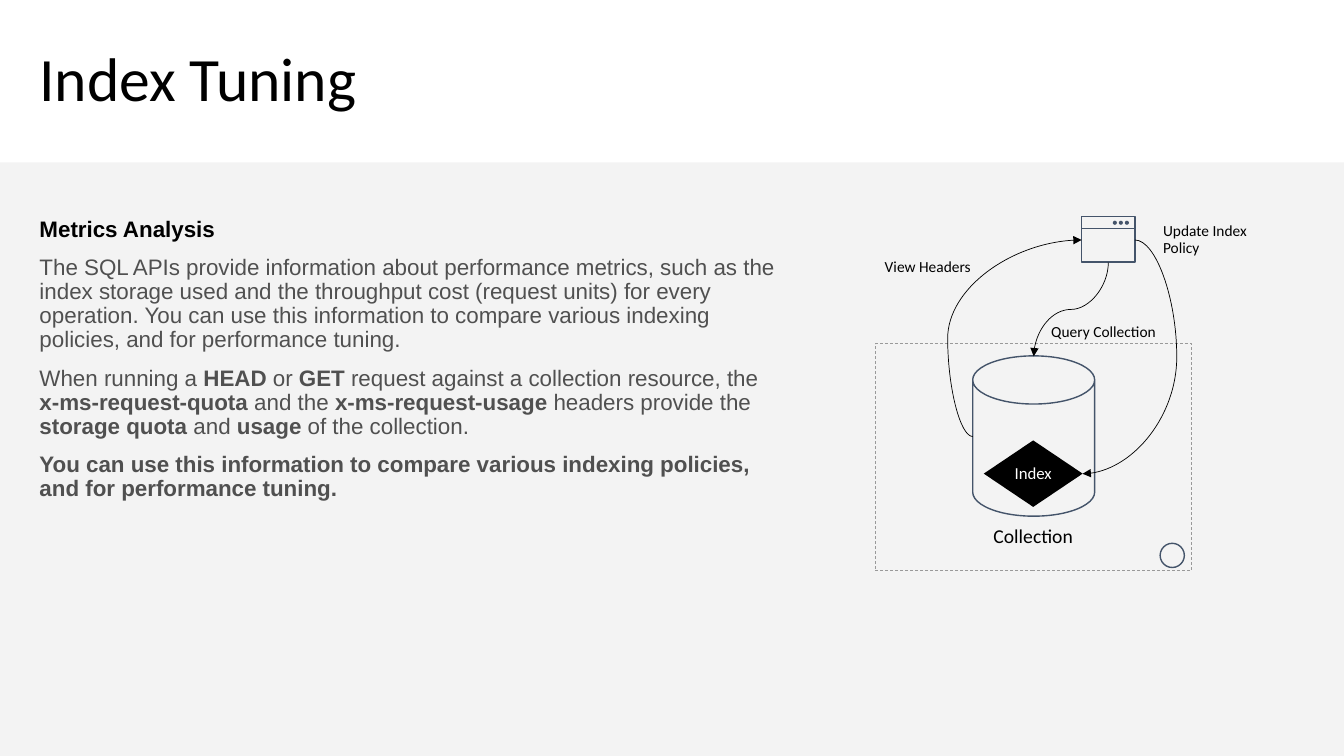
from dataclasses import dataclass

from lxml.etree import SubElement
from pptx import Presentation
from pptx.dml.color import RGBColor
from pptx.enum.dml import MSO_LINE
from pptx.enum.shapes import MSO_CONNECTOR as LINE, MSO_SHAPE as SHAPE
from pptx.enum.text import MSO_ANCHOR as ANCHOR, MSO_AUTO_SIZE as FIT, PP_ALIGN as ALIGN
from pptx.oxml.ns import qn
from pptx.util import Pt


@dataclass(frozen=True)
class Theme:
    black: str = "000000"
    white: str = "FFFFFF"
    panel: str = "F2F2F2"
    body: str = "505050"
    icon: str = "44546A"
    border: str = "999999"
    title_size: int = 44
    body_size: int = 16
    caption_size: int = 14
    node_size: int = 12
    label_size: int = 11
    head_font: str = "Calibri"
    body_font: str = "Arial"


def write(p, text, *, font, size, color, bold=False, align=ALIGN.LEFT, before=0, after=0):
    """Fill a paragraph; ** switches bold and a newline is a line break."""
    p.alignment, p.line_spacing = align, 0.9
    p.space_before, p.space_after = Pt(before), Pt(after)
    for i, part in enumerate(text.split("**")):
        for j, line in enumerate(part.split("\n")):
            if j:
                p.add_line_break()
            if not line:
                continue
            r = p.add_run()
            r.text = line
            r.font.name, r.font.size = font, Pt(size)
            r.font.bold = bold or i % 2 == 1
            r.font.color.rgb = RGBColor.from_string(color)


def place(sp, x, y, w, h):
    sp.left, sp.top, sp.width, sp.height = Pt(x), Pt(y), Pt(w), Pt(h)


def set_insets(tf, dx, dy):
    tf.margin_left = tf.margin_right = Pt(dx)
    tf.margin_top = tf.margin_bottom = Pt(dy)


class SlideBuilder:
    def __init__(self, s, theme):
        self.s, self.theme = s, theme

    def title(self, text, x, y, w, h):
        sp = self.s.shapes.title
        place(sp, x, y, w, h)
        tf = sp.text_frame
        tf.auto_size, tf.vertical_anchor = FIT.NONE, ANCHOR.MIDDLE
        t = self.theme
        write(tf.paragraphs[0], text, font=t.head_font, size=t.title_size, color=t.black)

    def body(self, heading, paragraphs, x, y, w, h):
        sp = self.s.placeholders[1]
        place(sp, x, y, w, h)
        tf = sp.text_frame
        tf.auto_size = FIT.SHAPE_TO_FIT_TEXT
        t = self.theme
        for i, text in enumerate([heading, *paragraphs]):
            p = tf.add_paragraph() if i else tf.paragraphs[0]
            pPr = p._p.get_or_add_pPr()
            pPr.set("marL", "0")
            pPr.set("indent", "0")
            SubElement(pPr, qn("a:buNone"))
            write(p, text, font=t.body_font, size=t.body_size, bold=i == 0,
                  color=t.body if i else t.black, before=10 if i else 0)

    def shape(self, kind, x, y, w, h, *, fill=None, line=None, width=1, dash=None):
        sp = self.s.shapes.add_shape(kind, Pt(x), Pt(y), Pt(w), Pt(h))
        sp.shadow.inherit = False
        if fill:
            sp.fill.solid()
            sp.fill.fore_color.rgb = RGBColor.from_string(fill)
        else:
            sp.fill.background()
        if line:
            sp.line.color.rgb = RGBColor.from_string(line)
            sp.line.width = Pt(width)
            sp.line.dash_style = dash
        else:
            sp.line.fill.background()
        return sp

    def panel(self, x, y, w, h):
        """Translucent band behind everything else."""
        sp = self.shape(SHAPE.RECTANGLE, x, y, w, h, fill=self.theme.panel)
        color = next(sp._element.spPr.iter(qn("a:srgbClr")))
        SubElement(color, qn("a:alpha")).set("val", "89000")
        self.s.shapes._spTree.insert(2, sp._element)

    def node(self, text, x, y, w, h):
        t = self.theme
        sp = self.shape(SHAPE.FLOWCHART_DECISION, x, y, w, h, fill=t.black)
        tf = sp.text_frame
        set_insets(tf, 0, 0)
        tf.vertical_anchor = ANCHOR.MIDDLE
        write(tf.paragraphs[0], text, font=t.head_font, size=t.node_size,
              color=t.white, align=ALIGN.CENTER)

    def label(self, text, x, y, w, h, *, size, align=ALIGN.LEFT, wrap=False,
              insets=(7.2, 7.2), anchor=ANCHOR.MIDDLE):
        tf = self.s.shapes.add_textbox(Pt(x), Pt(y), Pt(w), Pt(h)).text_frame
        tf.word_wrap, tf.auto_size, tf.vertical_anchor = wrap, FIT.SHAPE_TO_FIT_TEXT, anchor
        set_insets(tf, *insets)
        t = self.theme
        write(tf.paragraphs[0], text, font=t.head_font, size=size, color=t.black,
              align=align, after=6)

    def line(self, x1, y1, x2, y2, *, color, width, kind=LINE.STRAIGHT):
        cn = self.s.shapes.add_connector(kind, Pt(x1), Pt(y1), Pt(x2), Pt(y2))
        cn.line.color.rgb = RGBColor.from_string(color)
        cn.line.width = Pt(width)
        SubElement(cn._element.spPr, qn("a:effectLst"))
        return cn

    def curved_arrow(self, x1, y1, x2, y2, bend, turn=0):
        """bend is the position of the middle leg as a share of the width; turn is in degrees."""
        cn = self.line(x1, y1, x2, y2, color=self.theme.black, width=0.5, kind=LINE.CURVE)
        spPr = cn._element.spPr
        guide = SubElement(next(spPr.iter(qn("a:avLst"))), qn("a:gd"))
        guide.set("name", "adj1")
        guide.set("fmla", f"val {round(bend * 100000)}")
        SubElement(spPr.find(qn("a:ln")), qn("a:tailEnd")).set("type", "triangle")
        if turn:
            spPr.find(qn("a:xfrm")).set("rot", str(turn * 60000))

    def app_window(self, x, y, w, h):
        color = self.theme.icon
        self.shape(SHAPE.RECTANGLE, x, y, w, h, line=color)
        self.line(x + w, y + 8.6, x, y + 8.6, color=color, width=1)
        for i in range(3):
            self.shape(SHAPE.OVAL, x + 22.3 + 4.3 * i, y + 2.9, 2.9, 2.9, fill=color)


def main():
    prs = Presentation()
    prs.slide_width, prs.slide_height = Pt(960), Pt(540)
    t = Theme()
    b = SlideBuilder(prs.slides.add_slide(prs.slide_layouts[1]), t)

    b.panel(0, 116, 960, 424)
    b.title("Index Tuning", 21, 23, 918, 70.6)
    b.body("Metrics Analysis", [
        "The SQL APIs provide information about performance metrics, such as the index storage "
        "used and the throughput cost (request units) for every operation. You can use this "
        "information to compare various indexing policies, and for performance tuning.",
        "When running a **HEAD** or **GET** request against a collection resource, the\n"
        "**x-ms-request-quota** and the **x-ms-request-usage** headers provide the "
        "**storage quota** and **usage** of the collection.",
        "**You can use this information to compare various indexing policies, "
        "and for performance tuning.**",
    ], 21, 152, 553.7, 213)

    b.label("Collection", 684.7, 368.6, 106.6, 38.9, size=t.caption_size, align=ALIGN.CENTER,
            wrap=True, insets=(14.4, 11.5), anchor=ANCHOR.TOP)
    b.app_window(772.6, 154.8, 38.2, 32.4)
    b.shape(SHAPE.RECTANGLE, 625, 245.5, 226.1, 162, line=t.border, width=0.5,
            dash=MSO_LINE.DASH)
    b.shape(SHAPE.OVAL, 828.7, 388.1, 17.3, 17.3, line=t.icon)
    database = b.shape(SHAPE.CAN, 694.8, 254.2, 87.1, 114.5, line=t.icon)
    database.adjustments[0] = 0.395
    b.node("Index", 702.7, 314.6, 70.6, 47.5)

    b.curved_arrow(810.7, 171.4, 773.3, 338.4, bend=-0.8)
    b.curved_arrow(731.5, 194.4, 798.5, 247.7, bend=0.5, turn=90)
    b.curved_arrow(694.8, 311.8, 772.6, 171.4, bend=-0.23)
    b.label("Update Index \nPolicy", 823.7, 151.9, 79.2, 38.9, size=t.label_size)
    b.label("Query Collection", 743.8, 223.9, 92.2, 26.6, size=t.label_size)
    b.label("View Headers", 622.8, 177.8, 77.8, 26.6, size=t.label_size, align=ALIGN.RIGHT)

    prs.save("out.pptx")


if __name__ == "__main__":
    main()
